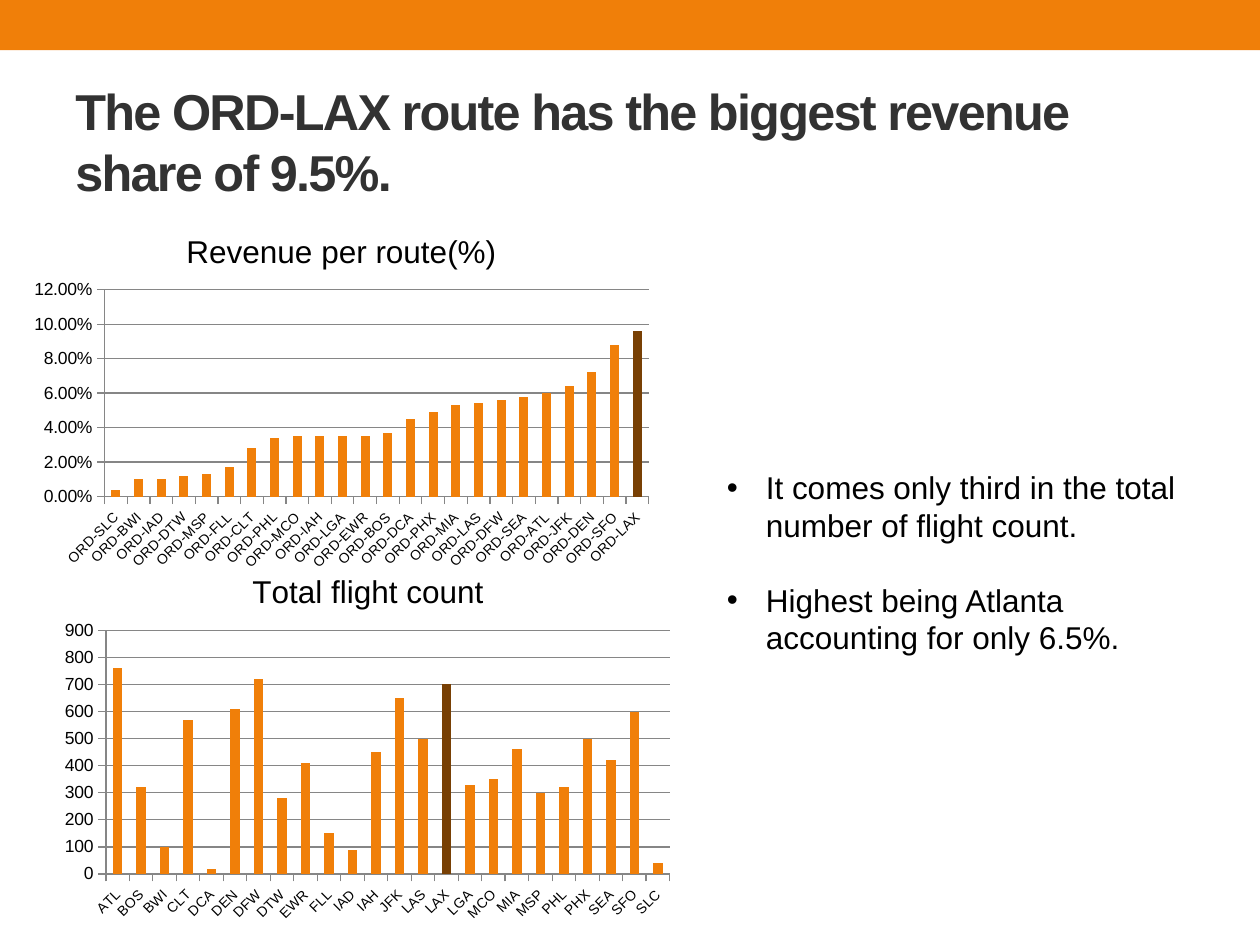
"""Build the ORD-LAX revenue share slide with two column charts."""
from dataclasses import dataclass

from lxml.etree import SubElement
from pptx import Presentation
from pptx.chart.data import CategoryChartData
from pptx.dml.color import RGBColor
from pptx.enum.chart import XL_CHART_TYPE, XL_TICK_MARK
from pptx.enum.shapes import MSO_SHAPE
from pptx.enum.text import MSO_ANCHOR
from pptx.oxml import parse_xml
from pptx.oxml.ns import nsdecls, qn
from pptx.util import Inches, Pt

ORANGE = RGBColor(0xF0, 0x7F, 0x09)
BROWN = RGBColor(0x78, 0x40, 0x04)
CHARCOAL = RGBColor(0x32, 0x32, 0x32)
BLACK = RGBColor(0, 0, 0)
GREY = RGBColor(0x86, 0x86, 0x86)
FONT = "Arial"
SLIDE_WIDTH, SLIDE_HEIGHT = Inches(10), Inches(7.5)


@dataclass(frozen=True)
class Box:
    """Position and size as shares of the enclosing area."""
    left: float
    top: float
    width: float
    height: float

    def on_slide(self) -> tuple[int, int, int, int]:
        """Return the box in slide units."""
        return (int(self.left * SLIDE_WIDTH), int(self.top * SLIDE_HEIGHT),
                int(self.width * SLIDE_WIDTH), int(self.height * SLIDE_HEIGHT))


@dataclass(frozen=True)
class ColumnChart:
    """One column chart with a single highlighted column."""
    title: str
    kind: XL_CHART_TYPE
    box: Box
    plot: Box
    values: dict[str, float]
    highlight: str
    number_format: str
    maximum: float
    step: float
    overlap: int


REVENUE = ColumnChart(
    "Revenue per route(%)", XL_CHART_TYPE.COLUMN_STACKED,
    Box(0.017, 0.223, 0.508, 0.389), Box(0.13, 0.215, 0.85, 0.563),
    {f"ORD-{airport}": share for airport, share in {
        "SLC": 0.004, "BWI": 0.01, "IAD": 0.01, "DTW": 0.012, "MSP": 0.013,
        "FLL": 0.017, "CLT": 0.028, "PHL": 0.034, "MCO": 0.035, "IAH": 0.035,
        "LGA": 0.035, "EWR": 0.035, "BOS": 0.037, "DCA": 0.045, "PHX": 0.049,
        "MIA": 0.053, "LAS": 0.054, "DFW": 0.056, "SEA": 0.058, "ATL": 0.06,
        "JFK": 0.064, "DEN": 0.072, "SFO": 0.088, "LAX": 0.096}.items()},
    "ORD-LAX", "0.00%", 0.12, 0.02, 100)
FLIGHTS = ColumnChart(
    "Total flight count", XL_CHART_TYPE.COLUMN_CLUSTERED,
    Box(0.042, 0.583, 0.5, 0.4), Box(0.084, 0.21, 0.895, 0.645),
    {"ATL": 760, "BOS": 320, "BWI": 100, "CLT": 570, "DCA": 20, "DEN": 610,
     "DFW": 720, "DTW": 280, "EWR": 410, "FLL": 150, "IAD": 90, "IAH": 450,
     "JFK": 650, "LAS": 500, "LAX": 700, "LGA": 330, "MCO": 350, "MIA": 460,
     "MSP": 300, "PHL": 320, "PHX": 500, "SEA": 420, "SFO": 600, "SLC": 40},
    "LAX", "General", 900, 100, 0)
FINDINGS = ("It comes only third in the total number of flight count.",
            "Highest being Atlanta accounting for only 6.5%.")


def write(paragraph, text: str, *, size: float, color: RGBColor = BLACK,
          bold: bool = False, tracking: int = 0, bullet: str = "",
          gap: float = 0) -> None:
    """Write formatted text into a paragraph."""
    run = paragraph.add_run()
    run.text = text
    run.font.name, run.font.size, run.font.bold = FONT, Pt(size), bold
    run.font.color.rgb = color
    paragraph.space_before = Pt(gap)
    if tracking:
        run.font._element.set("spc", str(tracking))
    if bullet:
        properties = paragraph._p.get_or_add_pPr()
        properties.set("marL", str(Inches(0.31)))
        properties.set("indent", str(-Inches(0.31)))
        SubElement(properties, qn("a:buFont"), typeface=FONT)
        SubElement(properties, qn("a:buChar"), char=bullet)


def add_text_frame(slide, box: Box, anchor: MSO_ANCHOR):
    """Add a wrapping text box and return its frame."""
    frame = slide.shapes.add_textbox(*box.on_slide()).text_frame
    frame.word_wrap = True
    frame.vertical_anchor = anchor
    return frame


def place_plot(chart, plot: Box) -> None:
    """Fix the inner plot area within the chart."""
    area = chart._chartSpace.chart.plotArea
    for existing in area.findall(qn("c:layout")):
        area.remove(existing)
    layout = parse_xml(f"<c:layout {nsdecls('c')}/>")
    manual = SubElement(layout, qn("c:manualLayout"))
    settings = {"layoutTarget": "inner", "xMode": "edge", "yMode": "edge",
                "x": plot.left, "y": plot.top, "w": plot.width, "h": plot.height}
    for name, value in settings.items():
        SubElement(manual, qn(f"c:{name}"), val=str(value))
    area.insert(0, layout)


def add_column_chart(slide, column_chart: ColumnChart) -> None:
    """Draw a column chart and highlight its key column."""
    data = CategoryChartData(number_format=column_chart.number_format)
    data.categories = list(column_chart.values)
    data.add_series("Series 1", list(column_chart.values.values()))
    chart = slide.shapes.add_chart(
        column_chart.kind, *column_chart.box.on_slide(), data).chart
    chart.font.name, chart.font.size = FONT, Pt(10)
    chart.font.color.rgb = BLACK
    chart.has_legend = False
    chart.has_title = True
    write(chart.chart_title.text_frame.paragraphs[0], column_chart.title, size=18)
    chart.chart_title.include_in_layout = False
    place_plot(chart, column_chart.plot)

    columns = chart.plots[0]
    columns.gap_width, columns.overlap = 150, column_chart.overlap
    columns.vary_by_categories = False
    series = columns.series[0]
    key = list(column_chart.values).index(column_chart.highlight)
    for part, color in ((series, ORANGE), (series.points[key], BROWN)):
        part.format.fill.solid()
        part.format.fill.fore_color.rgb = color

    routes, amounts = chart.category_axis, chart.value_axis
    for axis in (routes, amounts):
        axis.major_tick_mark = XL_TICK_MARK.OUTSIDE
        axis.minor_tick_mark = XL_TICK_MARK.NONE
        axis.format.line.color.rgb = GREY
    routes.tick_labels.font.size = Pt(8)
    routes._element.find(qn("c:txPr")).find(qn("a:bodyPr")).set("rot", "-2700000")
    amounts.minimum_scale, amounts.maximum_scale = 0, column_chart.maximum
    amounts.major_unit = column_chart.step
    amounts.has_major_gridlines = True
    amounts.major_gridlines.format.line.color.rgb = GREY
    amounts.tick_labels.number_format = column_chart.number_format
    amounts.tick_labels.number_format_is_linked = False


def main() -> None:
    """Build and save the slide."""
    deck = Presentation()
    deck.slide_width, deck.slide_height = SLIDE_WIDTH, SLIDE_HEIGHT
    slide = deck.slides.add_slide(deck.slide_layouts[6])
    banner = slide.shapes.add_shape(
        MSO_SHAPE.RECTANGLE, *Box(0, 0, 1, 0.053).on_slide())
    banner.shadow.inherit = False
    banner.fill.solid()
    banner.fill.fore_color.rgb = ORANGE
    banner.line.fill.background()

    headline = add_text_frame(slide, Box(0.05, 0.077, 0.9, 0.144), MSO_ANCHOR.MIDDLE)
    write(headline.paragraphs[0],
          "The ORD-LAX route has the biggest revenue share of 9.5%.",
          size=28.8, color=CHARCOAL, bold=True, tracking=-100)
    for column_chart in (REVENUE, FLIGHTS):
        add_column_chart(slide, column_chart)

    findings = add_text_frame(slide, Box(0.567, 0.489, 0.383, 0.216), MSO_ANCHOR.TOP)
    for position, finding in enumerate(FINDINGS):
        paragraph = findings.add_paragraph() if position else findings.paragraphs[0]
        write(paragraph, finding, size=18, bullet="•", gap=21 * position)
    deck.save("out.pptx")


if __name__ == "__main__":
    main()
